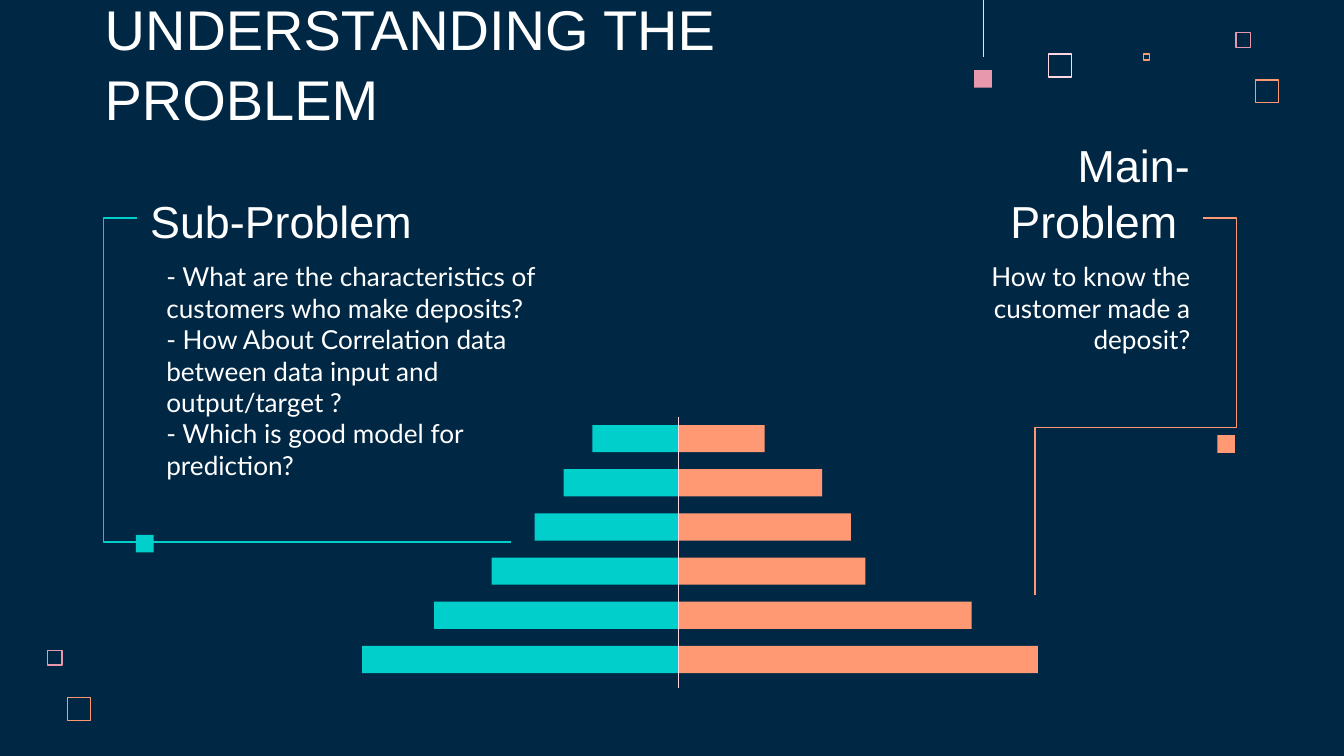
import pptx
import pptx.util
import pptx.dml.color
import pptx.enum.shapes
import pptx.enum.text
import pptx.oxml
import pptx.oxml.ns

Pt = pptx.util.Pt
RGBColor = pptx.dml.color.RGBColor
SHAPE = pptx.enum.shapes.MSO_SHAPE
CONNECTOR = pptx.enum.shapes.MSO_CONNECTOR
ALIGN = pptx.enum.text.PP_ALIGN
ANCHOR = pptx.enum.text.MSO_ANCHOR

NAVY = RGBColor(0x00, 0x28, 0x45)
WHITE = RGBColor(0xFF, 0xFF, 0xFF)
TEAL = RGBColor(0x00, 0xCF, 0xCC)
ORANGE = RGBColor(0xFF, 0x99, 0x73)
PINK = RGBColor(0xE8, 0x98, 0xAC)
PALE_PINK = RGBColor(0xFF, 0xD6, 0xE1)


class ProblemSlide:
    heading_font = "Arial"
    body_font = "Lato"
    body_size = 14
    body_indent = 8.64
    inset = 7.2
    line_width = 0.75

    def __init__(self, slide):
        self.slide = slide
        slide.background.fill.solid()
        slide.background.fill.fore_color.rgb = NAVY

    def block(self, left, top, width, height, color):
        rectangle = self.slide.shapes.add_shape(
            SHAPE.RECTANGLE, Pt(left), Pt(top), Pt(width), Pt(height))
        rectangle.shadow.inherit = False
        rectangle.fill.solid()
        rectangle.fill.fore_color.rgb = color
        rectangle.line.fill.background()
        return rectangle

    def frame(self, left, top, size, color):
        """Draw a hollow square whose outer edge has the given size."""
        edge = self.line_width
        side = size - edge
        square = self.block(left + edge / 2, top + edge / 2, side, side, color)
        square.fill.background()
        square.line.color.rgb = color
        square.line.width = Pt(edge)

    def line(self, start, end, color, width=line_width, kind=CONNECTOR.STRAIGHT):
        connector = self.slide.shapes.add_connector(
            kind, *(Pt(length) for length in (*start, *end)))
        connector.line.color.rgb = color
        connector.line.width = Pt(width)
        properties = connector.element.spPr
        properties.append(pptx.oxml.parse_xml(
            f"<a:effectLst {pptx.oxml.ns.nsdecls('a')}/>"))
        return connector

    def bracket(self, start, end, color, bends):
        """Draw an elbow line; bends are fractions of its width and height."""
        connector = self.line(start, end, color, kind=CONNECTOR.ELBOW)
        guides = "".join(
            f'<a:gd name="adj{number}" fmla="val {round(bend * 100000)}"/>'
            for number, bend in enumerate(bends, 1))
        geometry = pptx.oxml.parse_xml(
            f'<a:prstGeom {pptx.oxml.ns.nsdecls("a")} '
            f'prst="bentConnector{len(bends) + 2}">'
            f"<a:avLst>{guides}</a:avLst></a:prstGeom>")
        properties = connector.element.spPr
        properties.replace(
            properties.find(pptx.oxml.ns.qn("a:prstGeom")), geometry)

    def text(self, box, wording, font, size, align, anchor):
        frame = self.slide.shapes.add_textbox(*map(Pt, box)).text_frame
        frame.word_wrap = True
        frame.vertical_anchor = anchor
        frame.margin_left = frame.margin_right = Pt(self.inset)
        frame.margin_top = frame.margin_bottom = Pt(self.inset)
        frame.text = wording
        for paragraph in frame.paragraphs:
            paragraph.alignment = align
            for run in paragraph.runs:
                run.font.name = font
                run.font.size = Pt(size)
                run.font.color.rgb = WHITE
        return frame

    def heading(self, box, wording, size, align=ALIGN.LEFT):
        frame = self.text(box, wording, self.heading_font, size, align, ANCHOR.BOTTOM)
        frame.paragraphs[0].line_spacing = 1.045

    def body(self, box, wording, align=ALIGN.LEFT):
        frame = self.text(box, wording, self.body_font, self.body_size, align, ANCHOR.TOP)
        for paragraph in frame.paragraphs:
            properties = paragraph._p.get_or_add_pPr()
            properties.set("marL", str(Pt(self.body_indent)))
            properties.set("indent", "0")

    def pyramid(self, axis, top, unit, rows):
        """Draw paired bars growing left and right from a vertical axis."""
        pitch, thickness = 23.66, 14.6
        for row, (sub, main) in enumerate(rows):
            bar_top = top + row * pitch
            self.block(axis, bar_top, main * unit, thickness, ORANGE)
            self.block(axis - sub * unit, bar_top, sub * unit, thickness, TEAL)
        self.line((axis, top - 4.5), (axis, top + len(rows) * pitch - 1), PALE_PINK)


def main():
    deck = pptx.Presentation()
    deck.slide_width, deck.slide_height = Pt(720), Pt(405)
    page = ProblemSlide(deck.slides.add_slide(deck.slide_layouts[6]))

    for left, top, size, color in (
        (561.5, 28.6, 13, PALE_PINK),
        (661.7, 17.2, 8.6, PINK),
        (612.2, 28.6, 4, ORANGE),
        (672.4, 42.5, 13, ORANGE),
        (25, 348, 8.6, PINK),
        (35.8, 373.4, 13, ORANGE),
    ):
        page.frame(left, top, size, color)
    marker = 9.5
    page.block(521.9, 37.5, marker, marker, PINK)
    page.line((527, 0), (527, 30.7), PALE_PINK, 0.4)

    page.heading((49, 32.4, 484.6, 45.4), "UNDERSTANDING THE PROBLEM", 30)
    page.heading((73.4, 94.3, 159.8, 45.4), "Sub-Problem", 24)
    page.body((73.4, 132.5, 236.9, 154), "\n".join((
        "- What are the characteristics of customers who make deposits?",
        "- How About Correlation data between data input and output/target ?",
        "- Which is good model for prediction?",
    )))
    page.heading((486.7, 94.3, 157.7, 45.4), "Main-Problem ", 24, ALIGN.RIGHT)
    page.body((500.4, 132.5, 144.4, 87.8),
              "How to know the customer made a deposit?", ALIGN.RIGHT)

    page.pyramid(363.5, 227.7, 7.7, (
        (6, 6), (8, 10), (10, 12), (13, 13), (17, 20.4), (22, 25)))

    page.bracket((73.4, 116.8), (273.8, 290.3), TEAL, (-0.09,))
    page.bracket((644.4, 116.8), (554.4, 318.8), ORANGE, (-0.2, 0.556))
    page.block(72.8, 286.5, marker, marker, TEAL)
    page.block(652.1, 233.1, marker, marker, ORANGE)

    deck.save("out.pptx")


if __name__ == "__main__":
    main()
